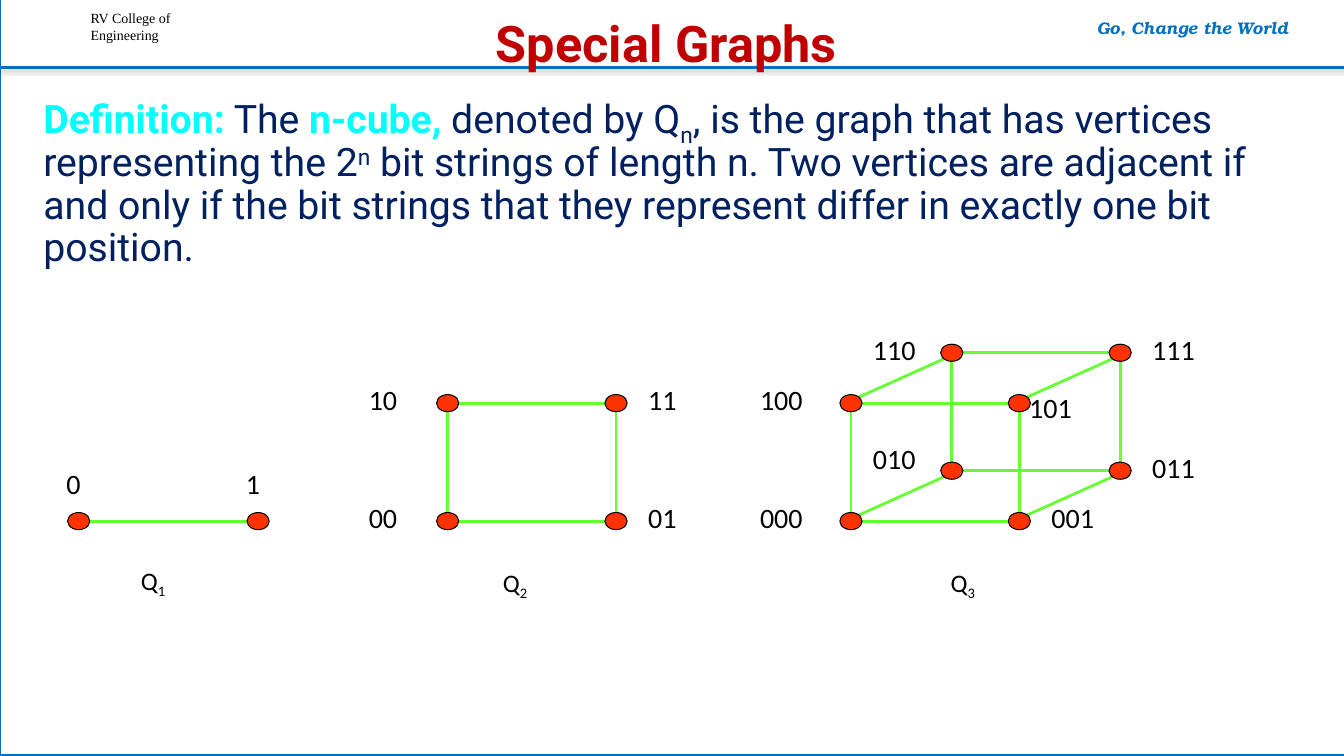
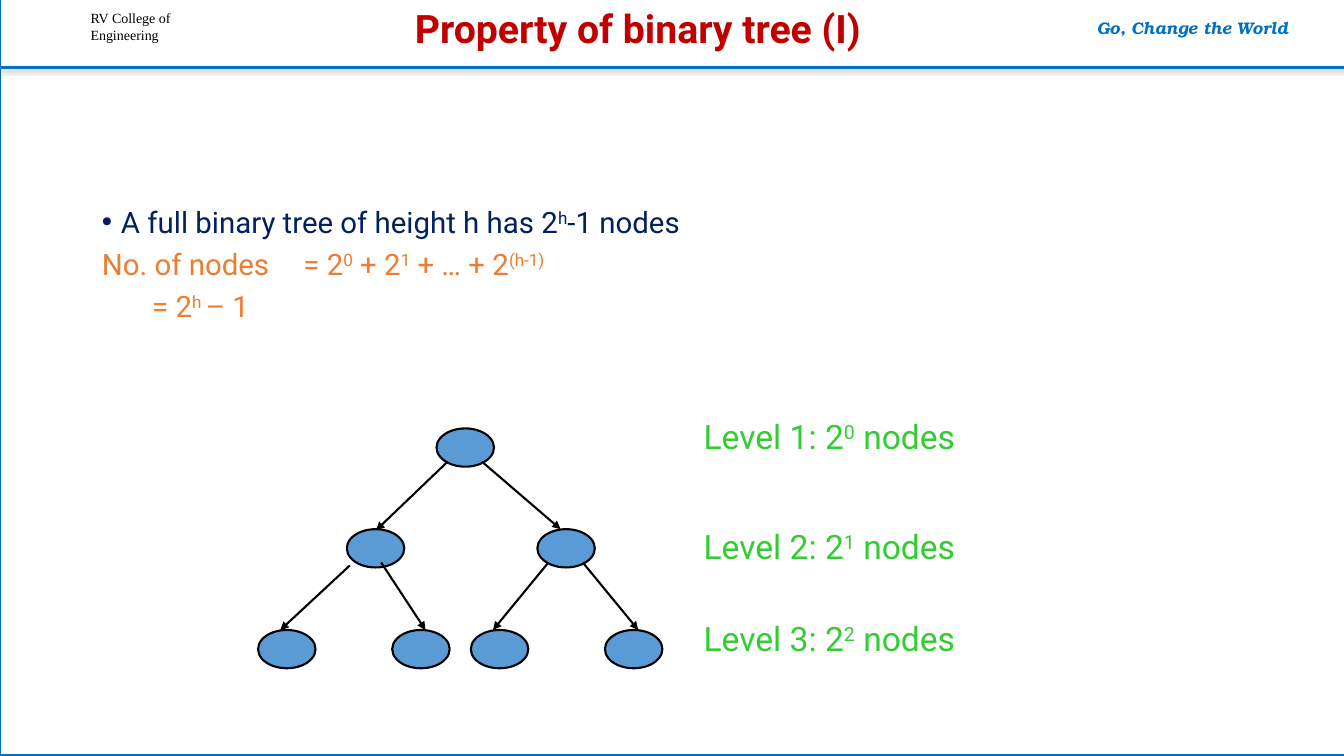
from dataclasses import dataclass
from itertools import combinations

from lxml.etree import SubElement
from pptx import Presentation
from pptx.dml.color import RGBColor
from pptx.enum.shapes import MSO_CONNECTOR, MSO_SHAPE
from pptx.enum.text import MSO_ANCHOR, MSO_AUTO_SIZE, PP_ALIGN
from pptx.oxml.ns import qn
from pptx.shapes.autoshape import Shape
from pptx.shapes.connector import Connector
from pptx.slide import Slide, SlideLayout
from pptx.text.text import Font, TextFrame, _Paragraph
from pptx.util import Inches, Pt

Point = tuple[float, float]
Area = tuple[float, float, float, float]

BLUE, RED, NAVY, CYAN = "0070C0", "C00000", "002060", "00FFFF"
ORANGE, GREEN, BLACK, WHITE = "ED7D31", "33CC33", "000000", "FFFFFF"
VERTEX_FILL, EDGE_COLOR, NODE_FILL = "FF3300", "66FF33", "5B9BD5"
SUPER, SUB = 30000, -25000
VERTEX_WIDTH, VERTEX_HEIGHT = 0.22, 0.17
NODE_WIDTH, NODE_HEIGHT = 0.57, 0.38


@dataclass(frozen=True)
class Style:
    font: str
    size: float
    color: str
    bold: bool = False
    italic: bool = False


@dataclass(frozen=True)
class Span:
    text: str
    baseline: int = 0
    color: str = ""
    bold: bool = False


@dataclass(frozen=True)
class Cube:
    origin: Point
    axes: tuple[Point, ...]
    label_offsets: dict[str, Point]
    caption: Point


@dataclass(frozen=True)
class Arrow:
    start: Point
    end: Point


LABEL = Style("Calibri", 20, BLACK)
CAPTION = Style("Calibri", 18, BLACK)
LEVEL = Style("Roboto", 24, GREEN)
DEFINITION = Style("Roboto", 28, NAVY)
PROPERTY = Style("Roboto", 21, NAVY)
FORMULA = Style("Roboto", 21, ORANGE)

RIGHT, UP, BACK = (1.67, 0), (0, -1.17), (1, -0.5)
BESIDE, BEFORE = (0.22, -0.25), (-0.88, -0.25)
CUBES = [
    Cube((0.78, 5.17), ((1.78, 0),),
         {"0": (-0.22, -0.59), "1": (-0.22, -0.59)}, (1.3, 5.56)),
    Cube((4.44, 5.17), (UP, RIGHT),
         {"00": BEFORE, "01": BESIDE, "10": BEFORE, "11": BESIDE}, (4.89, 5.58)),
    Cube((8.44, 5.17), (UP, BACK, RIGHT),
         {"000": (-1, -0.25), "001": BESIDE, "010": (-0.88, -0.34), "011": BESIDE,
          "100": (-1, -0.25), "101": (0, -0.17), "110": BEFORE, "111": BESIDE},
         (9.33, 5.58)),
]

TREE_NODES = [(4.33, 4.25), (3.44, 5.25), (5.33, 5.25),
              (2.56, 6.25), (3.89, 6.25), (4.67, 6.25), (6, 6.25)]
TREE_ARROWS = [
    Arrow((4.44, 4.58), (3.73, 5.26)),
    Arrow((4.78, 4.58), (5.56, 5.25)),
    Arrow((3.47, 5.61), (2.78, 6.25)),
    Arrow((3.78, 5.58), (4.22, 6.25)),
    Arrow((5.44, 5.58), (4.89, 6.25)),
    Arrow((5.78, 5.58), (6.33, 6.25)),
]
LEVEL_TOPS = [4.08, 5.17, 6.08]


def rgb(color: str) -> RGBColor:
    return RGBColor.from_string(color)


def apply_style(font: Font, style: Style) -> None:
    font.name = style.font
    font.size = Pt(style.size)
    font.bold = style.bold
    font.italic = style.italic
    font.color.rgb = rgb(style.color)


def write(paragraph: _Paragraph, spans: list[Span], style: Style) -> None:
    apply_style(paragraph.font, style)
    for span in spans:
        run = paragraph.add_run()
        run.text = span.text
        if span.baseline:
            run._r.get_or_add_rPr().set("baseline", str(span.baseline))
        if span.color:
            run.font.color.rgb = rgb(span.color)
        if span.bold:
            run.font.bold = True


def place(shape: Shape, area: Area) -> None:
    shape.left, shape.top, shape.width, shape.height = map(Inches, area)


def add_text(page: Slide, area: Area, lines: list[list[Span]], style: Style,
             align: PP_ALIGN = PP_ALIGN.LEFT, wrap: bool = True) -> Shape:
    box = page.shapes.add_textbox(*map(Inches, area))
    frame = box.text_frame
    frame.word_wrap = wrap
    for index, spans in enumerate(lines):
        paragraph = frame.add_paragraph() if index else frame.paragraphs[0]
        paragraph.alignment = align
        write(paragraph, spans, style)
    return box


def add_solid(page: Slide, kind: MSO_SHAPE, area: Area, fill: str,
              line: str, width: float) -> Shape:
    shape = page.shapes.add_shape(kind, *map(Inches, area))
    shape.shadow.inherit = False
    shape.fill.solid()
    shape.fill.fore_color.rgb = rgb(fill)
    shape.line.color.rgb = rgb(line)
    shape.line.width = Pt(width)
    return shape


def add_line(page: Slide, start: Point, end: Point, color: str, width: float,
             arrow: bool = False, shadow: bool = False) -> Connector:
    line = page.shapes.add_connector(
        MSO_CONNECTOR.STRAIGHT, *map(Inches, (*start, *end)))
    line.line.color.rgb = rgb(color)
    line.line.width = Pt(width)
    properties = line.element.spPr
    if arrow:
        SubElement(properties.find(qn("a:ln")), qn("a:tailEnd"), type="triangle")
    effects = SubElement(properties, qn("a:effectLst"))
    if shadow:
        outer = SubElement(effects, qn("a:outerShdw"), blurRad="40000", dist="20000",
                           dir="5400000", rotWithShape="0")
        tint = SubElement(outer, qn("a:srgbClr"), val=BLACK)
        SubElement(tint, qn("a:alpha"), val="38000")
    return line


def move_frame_to_layout(page: Slide, layout: SlideLayout) -> None:
    for placeholder in list(layout.placeholders)[2:]:
        layout.shapes.element.remove(placeholder.element)
    frame = [
        add_solid(page, MSO_SHAPE.RECTANGLE, (0, -0.01, 13.38, 7.5), WHITE, BLUE, 2),
        add_text(page, (0.8, 0.05, 1.47, 0.44),
                 [[Span("RV College of")], [Span("Engineering")]],
                 Style("Times New Roman", 10, BLACK)),
        add_line(page, (0, 0.67), (13.42, 0.67), BLUE, 2, shadow=True),
        add_text(page, (10.33, 0.13, 3, 0.3), [[Span("Go, Change the World")]],
                 Style("TeX Gyre Bonum", 12, BLUE, True, True), PP_ALIGN.CENTER),
    ]
    for index, shape in enumerate(frame):
        layout.shapes.element.insert(2 + index, shape.element)


def set_title(page: Slide, text: str, area: Area, size: float) -> None:
    title = page.shapes.title
    place(title, area)
    frame = title.text_frame
    frame.auto_size = MSO_AUTO_SIZE.NONE
    frame.vertical_anchor = MSO_ANCHOR.MIDDLE
    paragraph = frame.paragraphs[0]
    paragraph.alignment = PP_ALIGN.CENTER
    paragraph.line_spacing = 0.9
    write(paragraph, [Span(text)], Style("Roboto", size, RED, True))


def set_body(page: Slide, area: Area, margin_left: float, margin_top: float) -> TextFrame:
    body = page.placeholders[1]
    place(body, area)
    frame = body.text_frame
    frame.auto_size = MSO_AUTO_SIZE.NONE
    frame.vertical_anchor = MSO_ANCHOR.TOP
    frame.margin_left = Inches(margin_left)
    frame.margin_top = Inches(margin_top)
    return frame


def format_body(paragraph: _Paragraph, space_before: float = 0, hanging: float = 0,
                bullet: str = "", tab: float = 0) -> None:
    properties = paragraph._p.get_or_add_pPr()
    properties.set("marL", str(Inches(hanging)))
    properties.set("indent", str(-Inches(hanging)))
    if bullet:
        SubElement(properties, qn("a:buChar"), char=bullet)
    else:
        SubElement(properties, qn("a:buNone"))
    if tab:
        tabs = SubElement(properties, qn("a:tabLst"))
        SubElement(tabs, qn("a:tab"), pos=str(Inches(tab)), algn="l")
    paragraph.line_spacing = 0.9
    paragraph.space_before = Pt(space_before)


def vertex_center(cube: Cube, bits: str) -> Point:
    active = [axis for axis, bit in zip(cube.axes, bits) if bit == "1"]
    return (cube.origin[0] + sum(x for x, _ in active),
            cube.origin[1] + sum(y for _, y in active))


def rim_point(center: Point, other: Point) -> Point:
    steps = [(b > a) - (b < a) for a, b in zip(center, other)]
    scale = 0.71 if all(steps) else 1
    return (center[0] + steps[0] * scale * VERTEX_WIDTH / 2,
            center[1] + steps[1] * scale * VERTEX_HEIGHT / 2)


def draw_cube(page: Slide, cube: Cube) -> None:
    centers = {bits: vertex_center(cube, bits) for bits in cube.label_offsets}
    for first, second in combinations(centers, 2):
        if sum(a != b for a, b in zip(first, second)) == 1:
            start, end = centers[first], centers[second]
            add_line(page, rim_point(start, end), rim_point(end, start), EDGE_COLOR, 2)
    for bits, (x, y) in centers.items():
        add_solid(page, MSO_SHAPE.FLOWCHART_CONNECTOR,
                  (x - VERTEX_WIDTH / 2, y - VERTEX_HEIGHT / 2, VERTEX_WIDTH, VERTEX_HEIGHT),
                  VERTEX_FILL, BLACK, 0.75)
        dx, dy = cube.label_offsets[bits]
        add_text(page, (x + dx, y + dy, 1, 0.43), [[Span(bits)]], LABEL)
    add_text(page, (*cube.caption, 1, 0.4),
             [[Span("Q"), Span(str(len(cube.axes)), SUB)]], CAPTION)


def build_cubes(page: Slide) -> None:
    set_title(page, "Special Graphs", (0.33, 0, 12.56, 0.92), 36)
    paragraph = set_body(page, (0.33, 0.83, 12.78, 2.42), 0.1, 0.11).paragraphs[0]
    format_body(paragraph)
    write(paragraph, [
        Span("Definition:", color=CYAN, bold=True),
        Span(" The "),
        Span("n-cube, ", color=CYAN, bold=True),
        Span("denoted by Q"),
        Span("n", SUB),
        Span(", is the graph that has vertices representing the 2"),
        Span("n", SUPER),
        Span(" bit strings of length n. Two vertices are adjacent if and only if "
             "the bit strings that they represent differ in exactly one bit position."),
    ], DEFINITION)
    for cube in CUBES:
        draw_cube(page, cube)


def build_tree(page: Slide) -> None:
    set_title(page, "Property of binary tree (I)", (1.84, 0.1, 8.97, 0.41), 28)
    frame = set_body(page, (0.43, 1.04, 12.59, 6.16), 0.58, 1.02)
    statement = frame.paragraphs[0]
    format_body(statement, hanging=0.19, bullet="•")
    write(statement, [Span("A full binary tree of height h has 2"),
                      Span("h", SUPER), Span("-1 nodes")], PROPERTY)
    formulas = [
        [Span("No. of nodes \t= 2"), Span("0", SUPER), Span(" + 2"), Span("1", SUPER),
         Span(" + … + 2"), Span("(h-1)", SUPER)],
        [Span("\t= 2"), Span("h ", SUPER), Span("– 1")],
    ]
    for spans in formulas:
        paragraph = frame.add_paragraph()
        format_body(paragraph, space_before=7.5, tab=2.44)
        write(paragraph, spans, FORMULA)
    for left, top in TREE_NODES:
        add_solid(page, MSO_SHAPE.OVAL, (left, top, NODE_WIDTH, NODE_HEIGHT),
                  NODE_FILL, BLACK, 1.5)
    for arrow in TREE_ARROWS:
        add_line(page, arrow.start, arrow.end, BLACK, 1.5, arrow=True)
    for depth, top in enumerate(LEVEL_TOPS):
        add_text(page, (6.88, top, 2.78, 0.51),
                 [[Span(f"Level {depth + 1}: 2"), Span(str(depth), SUPER), Span(" nodes")]],
                 LEVEL, wrap=False)


def main() -> None:
    deck = Presentation()
    deck.slide_width, deck.slide_height = Inches(13.33), Inches(7.5)
    layout = deck.slide_layouts[1]
    pages = [deck.slides.add_slide(layout) for _ in range(2)]
    move_frame_to_layout(pages[0], layout)
    build_cubes(pages[0])
    build_tree(pages[1])
    deck.save("out.pptx")


if __name__ == "__main__":
    main()
